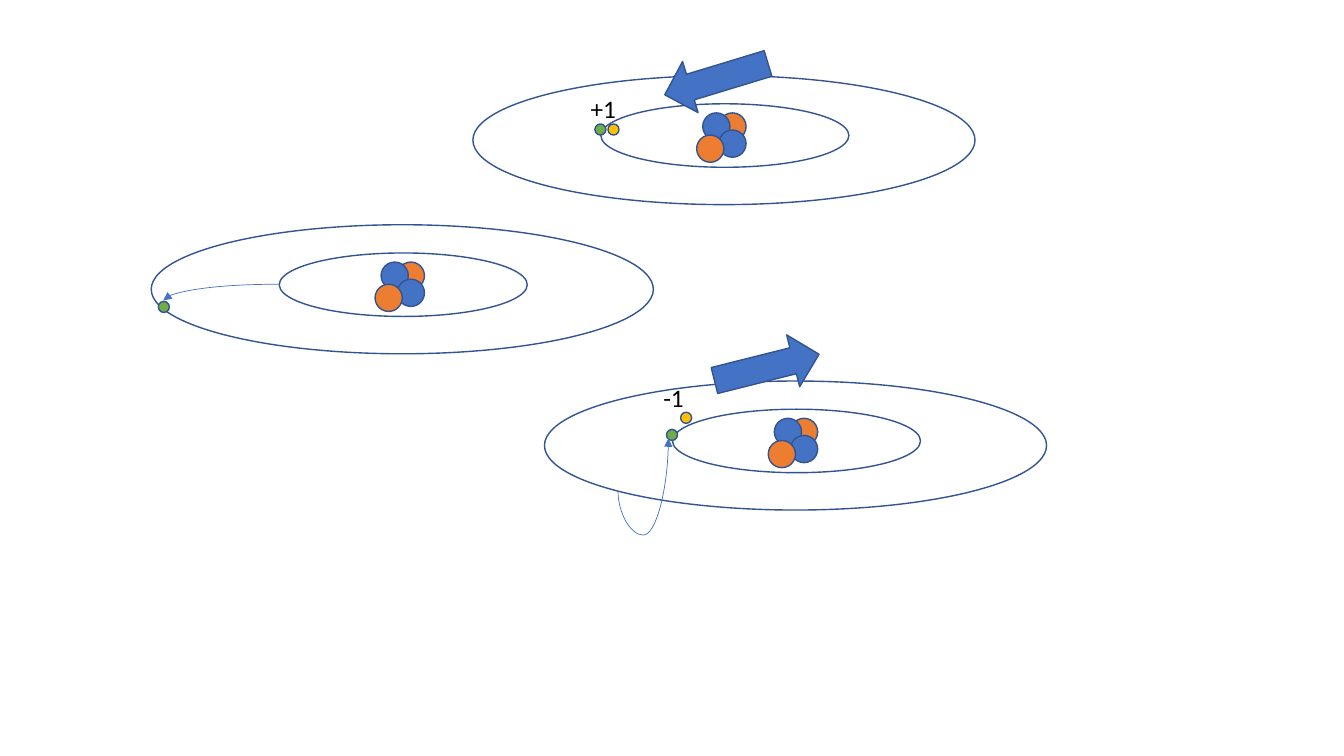
from lxml import etree
from pptx import Presentation
from pptx.dml.color import RGBColor
from pptx.enum import shapes, text
from pptx.oxml import ns
from pptx.util import Inches, Pt

BLUE, ORANGE, GREEN, YELLOW = "4472C4", "ED7D31", "70AD47", "FFC000"
OUTLINE = "325491"
NUCLEONS = [(2.44, 0.37, ORANGE), (2.28, 0.37, BLUE),
            (2.44, 0.54, BLUE), (2.22, 0.59, ORANGE)]
NUCLEON_SIZE, DOT_SIZE = 0.27, 0.11


def color(value):
    return RGBColor.from_string(value)


def add_figure(parent, kind, left, top, width, height, fill=None):
    figure = parent.add_shape(kind, Inches(left), Inches(top),
                              Inches(width), Inches(height))
    figure.shadow.inherit = False
    if fill:
        figure.fill.solid()
        figure.fill.fore_color.rgb = color(fill)
    else:
        figure.fill.background()
    figure.line.color.rgb = color(OUTLINE)
    figure.line.width = Pt(1)
    return figure


def add_ellipse(parent, left, top, width, height, fill=None):
    return add_figure(parent, shapes.MSO_SHAPE.OVAL, left, top, width, height, fill)


def add_dot(parent, left, top, fill):
    add_ellipse(parent, left, top, DOT_SIZE, DOT_SIZE, fill)


def add_atom(parent, left, top, electron):
    for across, down, fill in NUCLEONS:
        add_ellipse(parent, left + across, top + down, NUCLEON_SIZE, NUCLEON_SIZE, fill)
    add_ellipse(parent, left + 1.27, top + 0.28, 2.46, 0.63)
    add_ellipse(parent, left, top, 4.98, 1.28)
    add_dot(parent, *electron, GREEN)


def add_photon(parent, label, left, top, width, dot):
    group = parent.add_group_shape().shapes
    box = group.add_textbox(Inches(left), Inches(top), Inches(width), Inches(0.4))
    frame = box.text_frame
    frame.word_wrap = False
    frame.auto_size = text.MSO_AUTO_SIZE.SHAPE_TO_FIT_TEXT
    para = frame.paragraphs[0]
    para.text = label
    para.font.name = "Calibri"
    para.font.size = Pt(18)
    para.font.color.rgb = color("000000")
    add_dot(group, *dot, YELLOW)


def add_jump(parent, start, end, preset, turn=0, bend=None):
    jump = parent.add_connector(shapes.MSO_CONNECTOR.CURVE,
                                *(Inches(value) for value in start + end))
    jump.line.color.rgb = color(BLUE)
    jump.line.width = Pt(0.5)
    etree.SubElement(jump.line._get_or_add_ln(), ns.qn("a:tailEnd"), type="triangle")
    properties = jump._element.spPr
    etree.SubElement(properties, ns.qn("a:effectLst"))
    properties.find(ns.qn("a:xfrm")).set("rot", str(turn * 60000))
    geometry = properties.find(ns.qn("a:prstGeom"))
    geometry.set("prst", preset)
    if bend is not None:
        adjustments = geometry.find(ns.qn("a:avLst"))
        if adjustments is None:
            adjustments = etree.SubElement(geometry, ns.qn("a:avLst"))
        etree.SubElement(adjustments, ns.qn("a:gd"), name="adj1", fmla=f"val {bend}")


def add_motion_arrow(parent, left, top, angle):
    arrow = add_figure(parent, shapes.MSO_SHAPE.RIGHT_ARROW, left, top, 1.07, 0.53, BLUE)
    arrow.rotation = angle


def main():
    deck = Presentation()
    deck.slide_width, deck.slide_height = Inches(13.33), Inches(7.5)
    page = deck.slides.add_slide(deck.slide_layouts[6]).shapes

    add_atom(page, 4.69, 0.75, (5.9, 1.23))
    add_photon(page, "+1", 5.76, 0.88, 0.46, (6.03, 1.23))
    add_atom(page, 1.5, 2.23, (1.57, 2.99))
    add_photon(page, "-1", 6.48, 3.74, 0.41, (6.75, 4.09))
    add_atom(page, 5.4, 3.78, (6.61, 4.26))

    add_jump(page, (2.77, 2.82), (1.62, 2.98), "curvedConnector2")
    add_jump(page, (6.64, 4.86), (6.12, 4.36), "curvedConnector3", 90, -84400)

    add_motion_arrow(page, 6.57, 0.52, 163.1)
    add_motion_arrow(page, 7.07, 3.38, 345.9)
    deck.save("out.pptx")


if __name__ == "__main__":
    main()
